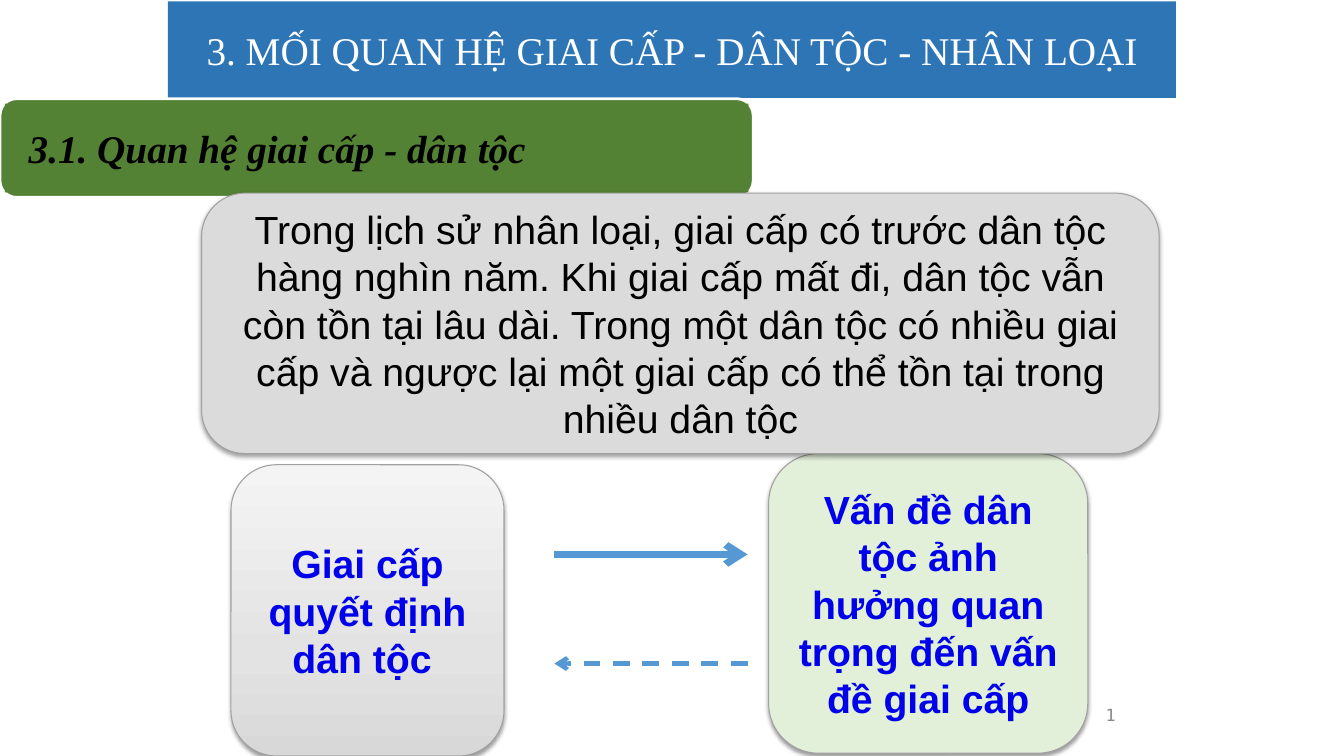
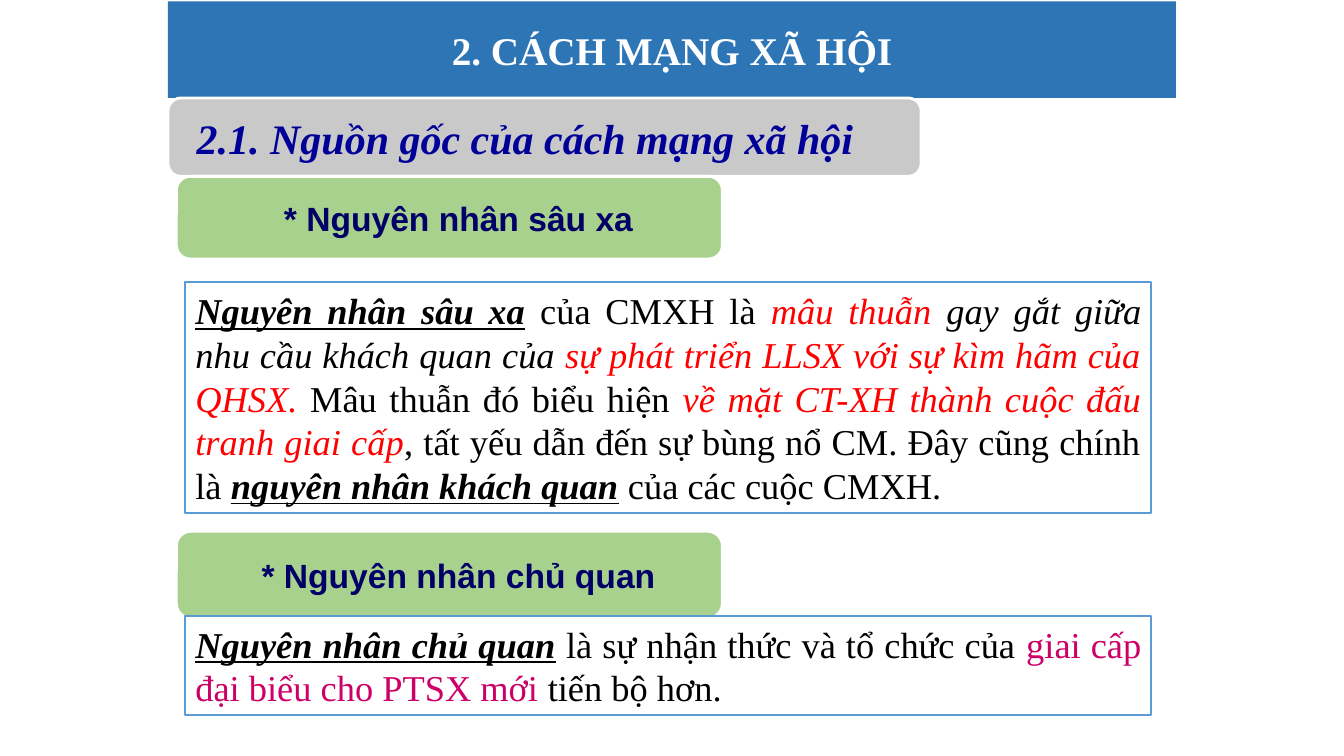
from copy import deepcopy
from lxml.etree import SubElement
from pptx import Presentation
from pptx.dml.color import RGBColor
from pptx.enum.dml import MSO_LINE
from pptx.enum.shapes import MSO_CONNECTOR, MSO_SHAPE
from pptx.enum.text import MSO_ANCHOR, PP_ALIGN
from pptx.oxml.ns import qn
from pptx.util import Pt

COLORS = {
    "white": "FFFFFF", "black": "000000", "title": "2E75B6",
    "green": "548235", "silver": "C9C9C9", "leaf": "A9D18E",
    "mint": "E2F0D9", "ash": "DBDBDB", "edge": "A1A1A1",
    "blue": "0000EA", "navy": "000099", "ink": "000066",
    "arrow": "5698D3", "frame": "5B9BD5", "red": "FF0000",
    "pink": "CC0066", "number": "898989",
    "dark": "D8D8D8", "mid": "E3E3E3", "light": "F4F4F4",
}
SERIF, SANS, MONO = "Times New Roman", "Arial", "DejaVu Sans Mono"
STYLES = {
    "plain": ("black", ""), "key": ("black", "biu"), "slant": ("black", "i"),
    "hot": ("red", "i"), "pink": ("pink", ""),
}
FADE = [(0, "dark"), (0.35, "mid"), (1, "light")]

CARDS = [
    ("Giai cấp quyết định dân tộc ", (165, 332, 195, 208), FADE, "blue", "b"),
    ("Vấn đề dân tộc ảnh hưởng quan trọng đến vấn đề giai cấp",
     (549, 324, 228, 214), "mint", "blue", "b"),
    ("Trong lịch sử nhân loại, giai cấp có trước dân tộc hàng nghìn năm. "
     "Khi giai cấp mất đi, dân tộc vẫn còn tồn tại lâu dài. Trong một dân tộc "
     "có nhiều giai cấp và ngược lại một giai cấp có thể tồn tại trong nhiều dân tộc",
     (144, 138, 684, 186), "ash", "black", ""),
]
ARROWS = [(396, 534, 396, 5, None), (534, 396, 474, 3, MSO_LINE.DASH)]

CAUSES = [
    ("* Nguyên nhân sâu xa", 126, 59, 201.5, 165, [
        ("Nguyên nhân sâu xa", "key"), (" của CMXH là ", "plain"),
        ("mâu thuẫn ", "hot"), ("gay gắt giữa nhu cầu khách quan của", "slant"),
        (" sự phát triển LLSX với sự kìm hãm của QHSX. ", "hot"),
        ("Mâu thuẫn đó biểu hiện ", "plain"),
        ("về mặt CT-XH thành cuộc đấu tranh giai cấp", "hot"),
        (", tất yếu dẫn đến sự bùng nổ CM. Đây cũng chính là ", "plain"),
        ("nguyên nhân khách quan", "key"), (" của các cuộc CMXH.", "plain")]),
    ("* Nguyên nhân chủ quan", 379.5, 62, 440, 70.5, [
        ("Nguyên nhân chủ quan", "key"),
        (" là sự nhận thức và tổ chức của ", "plain"),
        ("giai cấp đại biểu cho PTSX mới", "pink"),
        (" tiến bộ hơn.", "plain")]),
]


def tint(name):
    return RGBColor.from_string(COLORS[name])


def style(run, font, size, color, marks=""):
    face = run.font
    face.name, face.size = font, Pt(size)
    face.color.rgb = tint(color)
    face.bold, face.italic, face.underline = (m in marks for m in "biu")


def paint(shape, fill):
    if fill is None:
        shape.fill.background()
    elif isinstance(fill, str):
        shape.fill.solid()
        shape.fill.fore_color.rgb = tint(fill)
    else:
        shape.fill.gradient()
        shape.fill.gradient_angle = 90
        stops = shape._element.spPr.find(qn("a:gradFill")).find(qn("a:gsLst"))
        stops.append(deepcopy(stops[0]))
        for stop, (place, name) in zip(shape.fill.gradient_stops, fill):
            stop.position = place
            stop.color.rgb = tint(name)


def block(shapes, kind, box, fill, line=None, width=0):
    shape = shapes.add_shape(kind, *map(Pt, box))
    shape.shadow.inherit = False
    paint(shape, fill)
    if line:
        shape.line.color.rgb = tint(line)
        shape.line.width = Pt(width)
    else:
        shape.line.fill.background()
    return shape


def write(shape, runs, align, font, size):
    frame = shape.text_frame
    frame.word_wrap = True
    frame.vertical_anchor = MSO_ANCHOR.MIDDLE
    para = frame.paragraphs[0]
    para.alignment = align
    for text, color, marks in runs:
        run = para.add_run()
        run.text = text
        style(run, font, size, color, marks)
    return para


def title(slide, text, marks=""):
    bar = block(slide.shapes, MSO_SHAPE.RECTANGLE, (120, 1, 720, 69), "title")
    write(bar, [(text, "white", marks)], PP_ALIGN.CENTER, SERIF, 28)


def plate(slide, box, pads, fill, run, align, font, size):
    group = slide.shapes.add_group_shape()
    block(group.shapes, MSO_SHAPE.ROUNDED_RECTANGLE, box, fill, "white", 2)
    left, top, width, height = box
    start, end, gap = pads
    inner = (left + start, top + gap, width - start - end, height - 2 * gap)
    face = block(group.shapes, MSO_SHAPE.RECTANGLE, inner, fill)
    frame = face.text_frame
    frame.margin_left = frame.margin_right = Pt(17)
    frame.margin_top = frame.margin_bottom = 0
    write(face, [run], align, font, size)


def banner(slide, text, box, fill, color, size):
    plate(slide, box, (3.5, 3.5, 3.5), fill, (text, color, "bi"),
          PP_ALIGN.LEFT, SERIF, size)


def card(slide, text, box, fill, color, marks):
    shape = block(slide.shapes, MSO_SHAPE.ROUNDED_RECTANGLE, box, fill, "edge", 0.75)
    glow = SubElement(shape._element.spPr.find(qn("a:effectLst")), qn("a:outerShdw"),
                      blurRad=str(Pt(3.1)), dist=str(Pt(1.6)), dir="5400000",
                      algn="ctr", rotWithShape="0")
    shade = SubElement(glow, qn("a:srgbClr"), val=COLORS["black"])
    SubElement(shade, qn("a:alpha"), val="38000")
    write(shape, [(text, color, marks)], PP_ALIGN.CENTER, SANS, 28)


def arrow(slide, start, end, y, width, dash):
    line = slide.shapes.add_connector(
        MSO_CONNECTOR.STRAIGHT, Pt(start), Pt(y), Pt(end), Pt(y))
    line.line.color.rgb = tint("arrow")
    line.line.width = Pt(width)
    if dash:
        line.line.dash_style = dash
    SubElement(line.line._get_or_add_ln(), qn("a:tailEnd"), type="arrow")
    SubElement(line._element.spPr, qn("a:effectLst"))


def number(slide):
    box = slide.shapes.add_textbox(Pt(636), Pt(492), Pt(168), Pt(37))
    para = write(box, [("1", "number", "")], PP_ALIGN.RIGHT, MONO, 12)
    run = para.runs[0]._r
    field = SubElement(para._p, qn("a:fld"), type="slidenum",
                       id="{B6F15528-21DE-4FAA-801E-634DDDAF4B2B}")
    field.extend(list(run))
    para._p.remove(run)


def nation(slide):
    number(slide)
    title(slide, "3. MỐI QUAN HỆ GIAI CẤP - DÂN TỘC - NHÂN LOẠI")
    banner(slide, "3.1. Quan hệ giai cấp - dân tộc",
           (0, 70.5, 538, 70.5), "green", "black", 28)
    for item in CARDS:
        card(slide, *item)
    for item in ARROWS:
        arrow(slide, *item)


def revolt(slide):
    title(slide, "2. CÁCH MẠNG XÃ HỘI", "b")
    banner(slide, "2.1. Nguồn gốc của cách mạng xã hội",
           (120, 70, 538, 56), "silver", "navy", 30)
    for label, top, height, *rest in CAUSES:
        plate(slide, (126, top, 390, height), (21, 8, 3), "leaf",
              (label, "ink", "b"), PP_ALIGN.CENTER, SANS, 24)
    for *rest, top, height, parts in CAUSES:
        box = block(slide.shapes, MSO_SHAPE.RECTANGLE,
                    (132.5, top, 690, height), None, "frame", 1.5)
        runs = [(text, *STYLES[name]) for text, name in parts]
        write(box, runs, PP_ALIGN.JUSTIFY, SERIF, 26)


def main():
    deck = Presentation()
    deck.slide_width, deck.slide_height = Pt(960), Pt(540)
    for draw in (nation, revolt):
        draw(deck.slides.add_slide(deck.slide_layouts[6]))
    deck.save("out.pptx")


if __name__ == "__main__":
    main()
